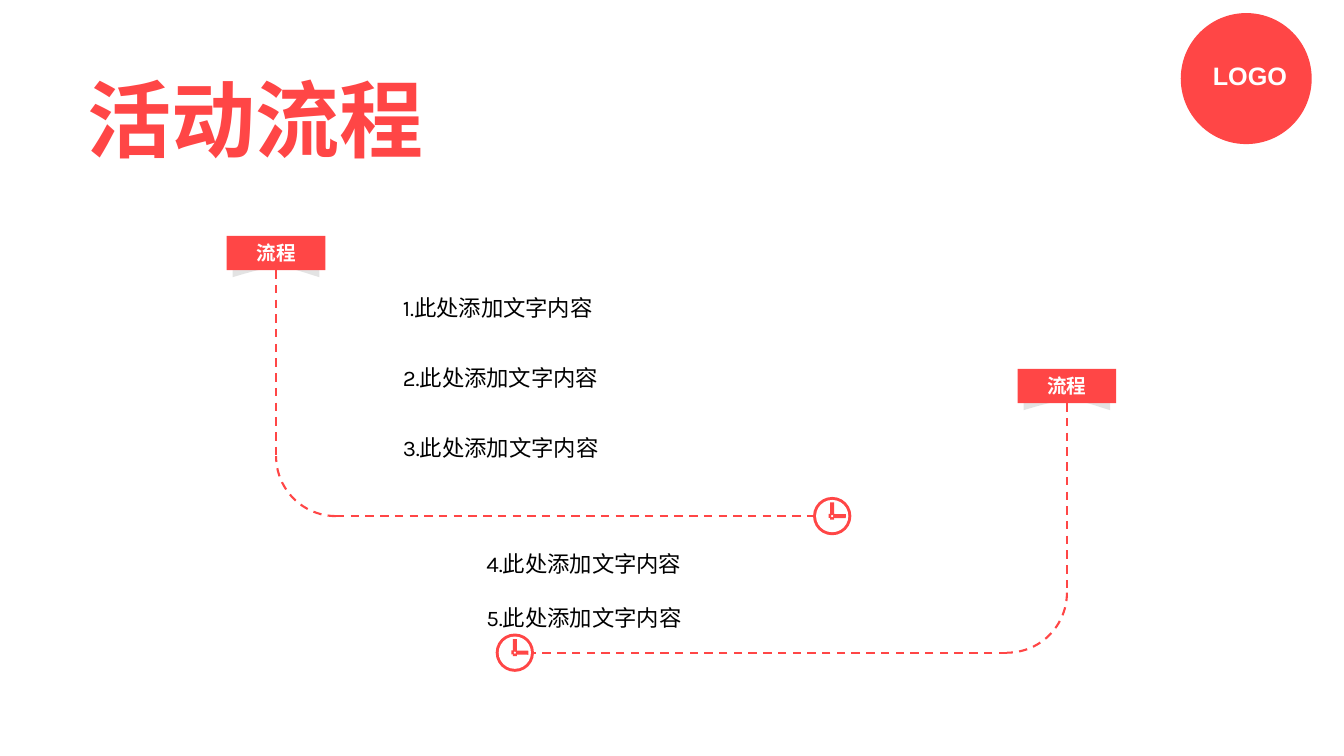
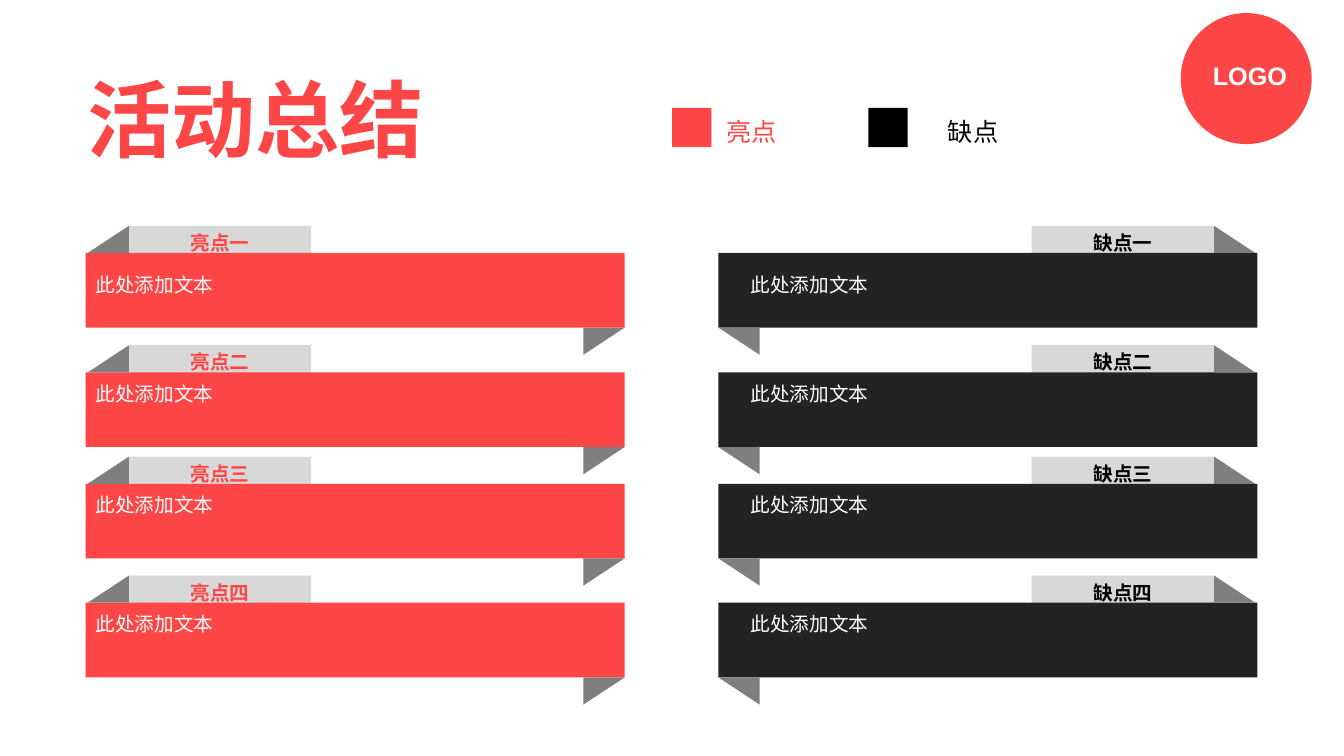
from lxml.etree import SubElement
from pptx import Presentation
from pptx.dml.color import RGBColor
from pptx.enum.dml import MSO_LINE
from pptx.enum.shapes import MSO_CONNECTOR, MSO_SHAPE
from pptx.enum.text import MSO_ANCHOR, PP_ALIGN
from pptx.oxml.ns import qn
from pptx.util import Inches, Pt

# Square grid: 75 rows by 133.4 columns; every length below is in cells
WIDTH, HEIGHT = 13.34, 7.5
CELL = HEIGHT / 75
COLORS = {
    "red": "FF4646", "white": "FFFFFF", "black": "000000", "dark": "232323",
    "tab": "D8D8D8", "fold": "7F7F7F", "tail": "DDDDDD",
}
CJK, LATIN, BODY = "Noto Sans CJK SC", "Arial", "Karla"
INSETS = (1, 0.5, 1, 0.5)


def cells(n):
    return Inches(n * CELL)


def rgb(name):
    return RGBColor.from_string(COLORS[name])


def write(sp, text, size, color, font=CJK, bold=False, center=False,
          middle=False, insets=INSETS):
    tf = sp.text_frame
    tf.text = text
    tf.word_wrap = True
    tf.vertical_anchor = MSO_ANCHOR.MIDDLE if middle else MSO_ANCHOR.TOP
    (tf.margin_left, tf.margin_top,
     tf.margin_right, tf.margin_bottom) = map(cells, insets)
    p = tf.paragraphs[0]
    p.alignment = PP_ALIGN.CENTER if center else PP_ALIGN.LEFT
    r = p.runs[0]
    r.font.size, r.font.bold, r.font.name = Pt(size), bold, font
    r.font.color.rgb = rgb(color)
    SubElement(r.font._element, qn("a:ea"), typeface=CJK)


def label(s, box, text, size, color, **style):
    write(s.shapes.add_textbox(*map(cells, box)), text, size, color, **style)


def paint(sp, color):
    sp.shadow.inherit = False
    sp.fill.solid()
    sp.fill.fore_color.rgb = rgb(color)
    sp.line.fill.background()


def block(s, kind, box, color):
    sp = s.shapes.add_shape(kind, *map(cells, box))
    paint(sp, color)
    return sp


def dash(sp):
    sp.line.color.rgb = rgb("red")
    sp.line.width = Pt(1.5)
    sp.line.dash_style = MSO_LINE.DASH


def dashed_line(s, x1, y1, x2, y2):
    line = s.shapes.add_connector(
        MSO_CONNECTOR.STRAIGHT, *map(cells, (x1, y1, x2, y2)))
    dash(line)
    SubElement(line._element.spPr, qn("a:effectLst"))
    return line


# Parts shared by all slides
def add_page(prs, title):
    s = prs.slides.add_slide(prs.slide_layouts[6])
    label(s, (2.9, 6.2, 44.9, 11), title, 60, "red", bold=True, center=True)
    block(s, MSO_SHAPE.OVAL, (117.2, 1.3, 13, 13), "red")
    label(s, (119.4, 5.5, 10.2, 4), "LOGO", 18, "white", font=LATIN, bold=True)
    return s


# Flow slide
def add_tail(s, x, y, w=8.6, h=1.6, steps=12):
    """Pale ribbon end whose lower edge is a cubic curve."""
    curve = [(w, h), (0.57 * w, 0.3 * h), (0.58 * w, 0.06 * h), (0, h)]
    points = [(w, 0)]
    for i in range(steps + 1):
        t = i / steps
        weights = ((1 - t) ** 3, 3 * t * (1 - t) ** 2,
                   3 * t ** 2 * (1 - t), t ** 3)
        points.append(tuple(sum(k * pt[axis] for k, pt in zip(weights, curve))
                            for axis in (0, 1)))
    outline = s.shapes.build_freeform(cells(x), cells(y))
    outline.add_line_segments([(cells(x + dx), cells(y + dy))
                               for dx, dy in points])
    sp = outline.convert_to_shape()
    paint(sp, "tail")
    color = sp._element.spPr.find(qn("a:solidFill"))[0]
    SubElement(color, qn("a:alpha"), val="80000")


def add_clock(s, x, y):
    block(s, MSO_SHAPE.OVAL, (x, y, 3.8, 3.8), "red")
    block(s, MSO_SHAPE.OVAL, (x + 0.3, y + 0.3, 3.2, 3.2), "white")
    for dx, dy, angle in ((1.7, 0.55, 0), (2.2, 1.05, 91)):
        hand = block(s, MSO_SHAPE.RECTANGLE, (x + dx, y + dy, 0.4, 1.7), "red")
        hand.rotation = angle
    block(s, MSO_SHAPE.OVAL, (x + 1.8, y + 1.8, 0.2, 0.2), "white")


def add_flow(s, x, y, floor, clock_x):
    """Tag at x, y with a dashed path down to row floor and across to a clock."""
    radius, tag_w, tag_h = 5.95, 9.8, 3.4
    rightward = clock_x > x
    mid = x + tag_w / 2
    turn = mid + radius if rightward else mid - radius
    add_tail(s, x + 0.6, y + 2.5)
    tag = block(s, MSO_SHAPE.RECTANGLE, (x, y, tag_w, tag_h), "red")
    write(tag, "流程", 14, "white", bold=True, center=True, middle=True)
    drop = dashed_line(s, mid, y + tag_h, mid, floor - radius)
    drop.begin_connect(tag, 2)
    arc = s.shapes.add_shape(
        MSO_SHAPE.ARC, cells(min(mid, mid + 2 * (turn - mid))),
        cells(floor - 2 * radius), cells(2 * radius), cells(2 * radius))
    arc.shadow.inherit = False
    arc.fill.background()
    dash(arc)
    # Arc angles are counted in 60000ths of a degree, scaled by 100000
    start = 90 if rightward else 0
    arc.adjustments[0], arc.adjustments[1] = start * 0.6, (start + 90) * 0.6
    dashed_line(s, turn, floor, clock_x if rightward else clock_x + 3.8, floor)
    add_clock(s, clock_x, floor - 1.9)


def flow_slide(prs):
    s = add_page(prs, "活动流程")
    add_flow(s, 22.5, 23.4, 51.2, 80.7)
    add_flow(s, 101, 36.6, 64.75, 49.2)
    steps = ((39, 28.7), (39, 35.6), (39, 42.6), (47.3, 54.1), (47.3, 59.4))
    for n, (x, y) in enumerate(steps, 1):
        label(s, (x, y, 52, 4), f"{n}.此处添加文字内容", 16, "black", font=BODY)


# Summary slide
def add_ribbon(s, x, y, heading, color, bar_color, mirrored, indent, text_dy):
    """Folded ribbon in a box 53.5 wide; mirrored swaps left and right."""
    width, fold_w, fold_h, bar_h = 53.5, 4.1, 2.7, 7.4

    def across(offset, w):
        return x + (width - offset - w if mirrored else offset)

    tab = block(s, MSO_SHAPE.RECTANGLE, (across(4.3, 18.1), y, 18.1, 3.4), "tab")
    write(tab, heading, 14, color, bold=True, center=True)
    block(s, MSO_SHAPE.RECTANGLE, (x, y + fold_h, width, bar_h), bar_color)
    folds = ((0.2, y, 0), (width - fold_w, y + fold_h + bar_h, 180))
    for offset, top, angle in folds:
        fold = block(s, MSO_SHAPE.ISOSCELES_TRIANGLE,
                     (across(offset, fold_w), top, fold_w, fold_h), "fold")
        fold.adjustments[0] = 0 if mirrored else 1
        fold.rotation = angle
    label(s, (x + indent, y + fold_h + text_dy, 49.4, 3.2), "此处添加文本",
          14, "white", insets=(0, 0, 0, 0))


def add_legend(s, x, text_x, text, color):
    block(s, MSO_SHAPE.RECTANGLE, (x, 10.7, 3.9, 3.9), color)
    label(s, (text_x, 11.1, 11.4, 4), text, 18, color, font=LATIN)


def summary_slide(prs):
    s = add_page(prs, "活动总结")
    add_legend(s, 66.7, 71.1, "亮点", "red")
    add_legend(s, 86.2, 93.1, "缺点", "black")
    columns = (
        (8.5, "亮点", "red", "red", False, 1),
        (71.3, "缺点", "black", "dark", True, 3.2),
    )
    rows = (("一", 22.4, 2), ("二", 34.25, 0.9),
            ("三", 45.3, 0.9), ("四", 57.1, 0.9))
    for x, topic, color, bar_color, mirrored, indent in columns:
        for number, y, text_dy in rows:
            add_ribbon(s, x, y, topic + number, color, bar_color,
                       mirrored, indent, text_dy)


def main():
    prs = Presentation()
    prs.slide_width, prs.slide_height = Inches(WIDTH), Inches(HEIGHT)
    flow_slide(prs)
    summary_slide(prs)
    prs.save("out.pptx")


if __name__ == "__main__":
    main()
